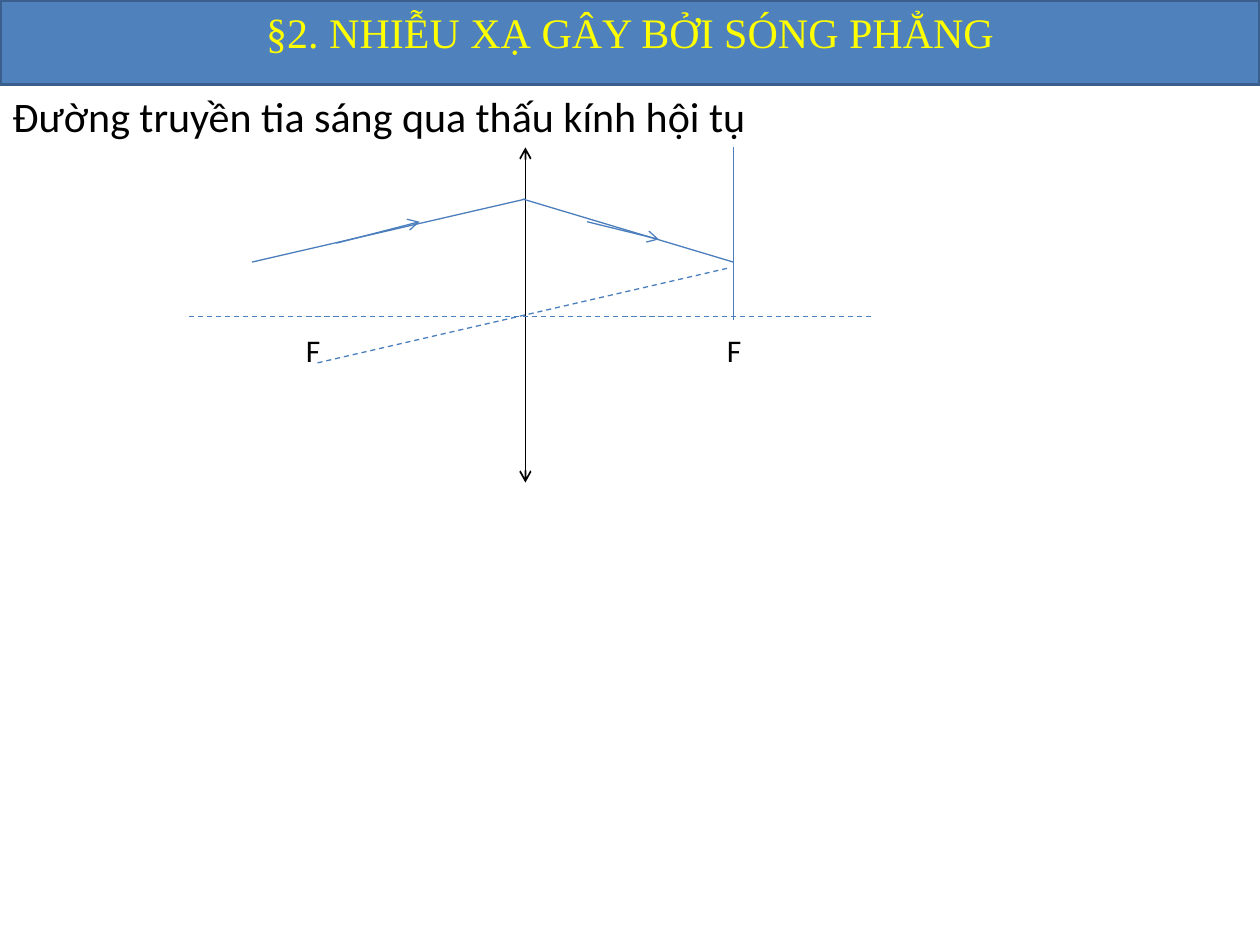
from dataclasses import dataclass

from lxml import etree
from pptx import Presentation
from pptx.dml.color import RGBColor
from pptx.enum.dml import MSO_LINE
from pptx.enum.shapes import MSO_CONNECTOR, MSO_SHAPE
from pptx.enum.text import MSO_AUTO_SIZE, PP_ALIGN
from pptx.oxml.ns import qn
from pptx.util import Inches, Pt

STRAIGHT = MSO_CONNECTOR.STRAIGHT
RECTANGLE = MSO_SHAPE.RECTANGLE
DASH = MSO_LINE.DASH
GROW = MSO_AUTO_SIZE.SHAPE_TO_FIT_TEXT
LEFT, CENTER = PP_ALIGN.LEFT, PP_ALIGN.CENTER


@dataclass(frozen=True)
class Theme:
    black: RGBColor = RGBColor(0x00, 0x00, 0x00)
    ray: RGBColor = RGBColor(0x4B, 0x7E, 0xBC)
    banner: RGBColor = RGBColor(0x4F, 0x81, 0xBD)
    banner_edge: RGBColor = RGBColor(0x3A, 0x5F, 0x8C)
    title: RGBColor = RGBColor(0xFF, 0xFF, 0x00)
    title_font: str = "Times New Roman"
    body_font: str = "Calibri"
    heading_size: Pt = Pt(24)
    label_size: Pt = Pt(18)
    ray_width: Pt = Pt(0.75)
    lens_width: Pt = Pt(1)
    banner_edge_width: Pt = Pt(2)


THEME = Theme()


def add_line(slide, start, end, color=THEME.ray, width=THEME.ray_width,
             dashed=False, arrows=()):
    """Draw a line; arrows names the ends ("headEnd", "tailEnd") with open arrowheads."""
    connector = slide.shapes.add_connector(
        STRAIGHT, *(Inches(value) for value in (*start, *end)))
    connector.line.color.rgb = color
    connector.line.width = width
    if dashed:
        connector.line.dash_style = DASH
    properties = connector.element.spPr
    outline = properties.find(qn("a:ln"))
    for arrow in arrows:
        etree.SubElement(outline, qn(f"a:{arrow}"), type="arrow")
    etree.SubElement(properties, qn("a:effectLst"))


def add_text(slide, text, box, size, font=THEME.body_font, color=THEME.black,
             alignment=LEFT):
    text_box = slide.shapes.add_textbox(*(Inches(value) for value in box))
    frame = text_box.text_frame
    frame.word_wrap = True
    frame.auto_size = GROW
    frame.text = text
    paragraph = frame.paragraphs[0]
    paragraph.alignment = alignment
    run_font = paragraph.runs[0].font
    run_font.name = font
    run_font.size = size
    run_font.color.rgb = color


def add_banner(slide):
    banner = slide.shapes.add_shape(RECTANGLE, 0, 0, Inches(10), Inches(0.67))
    banner.shadow.inherit = False
    banner.fill.solid()
    banner.fill.fore_color.rgb = THEME.banner
    banner.line.color.rgb = THEME.banner_edge
    banner.line.width = THEME.banner_edge_width


def add_lens_diagram(slide):
    lens_x, focal_x = 4.17, 5.82
    top, axis_y = 1.17, 2.51
    entry_y, image_y = 1.58, 2.08

    # Lens, optical axis and focal points
    add_line(slide, (lens_x, top), (lens_x, 3.83), THEME.black,
             THEME.lens_width, arrows=("headEnd", "tailEnd"))
    add_line(slide, (1.5, axis_y), (6.92, axis_y), dashed=True)
    for label_x in (2.33, 5.67):
        add_text(slide, "F", (label_x, 2.58, 0.42, 0.4), THEME.label_size)

    # Incoming ray, parallel ray through the centre, focal plane, refracted ray
    add_line(slide, (2, image_y), (lens_x, entry_y))
    add_line(slide, (2.67, 1.93), (3.33, 1.76), arrows=("tailEnd",))
    add_line(slide, (2.52, 2.88), (5.77, 2.13), dashed=True)
    add_line(slide, (focal_x, top), (focal_x, 2.54))
    add_line(slide, (4.15, entry_y), (focal_x, image_y))
    add_line(slide, (4.66, 1.76), (5.23, 1.9), arrows=("tailEnd",))


def main():
    presentation = Presentation()
    presentation.slide_width = Inches(10)
    presentation.slide_height = Inches(7.5)
    slide = presentation.slides.add_slide(presentation.slide_layouts[6])

    add_lens_diagram(slide)
    add_banner(slide)
    add_text(slide, "§2. NHIỄU XẠ GÂY BỞI SÓNG PHẲNG", (0, 0, 10, 0.5),
             THEME.heading_size, THEME.title_font, THEME.title, CENTER)
    add_text(slide, "Đường truyền tia sáng qua thấu kính hội tụ",
             (0, 0.67, 7.25, 0.5), THEME.heading_size)

    presentation.save("out.pptx")


if __name__ == "__main__":
    main()
